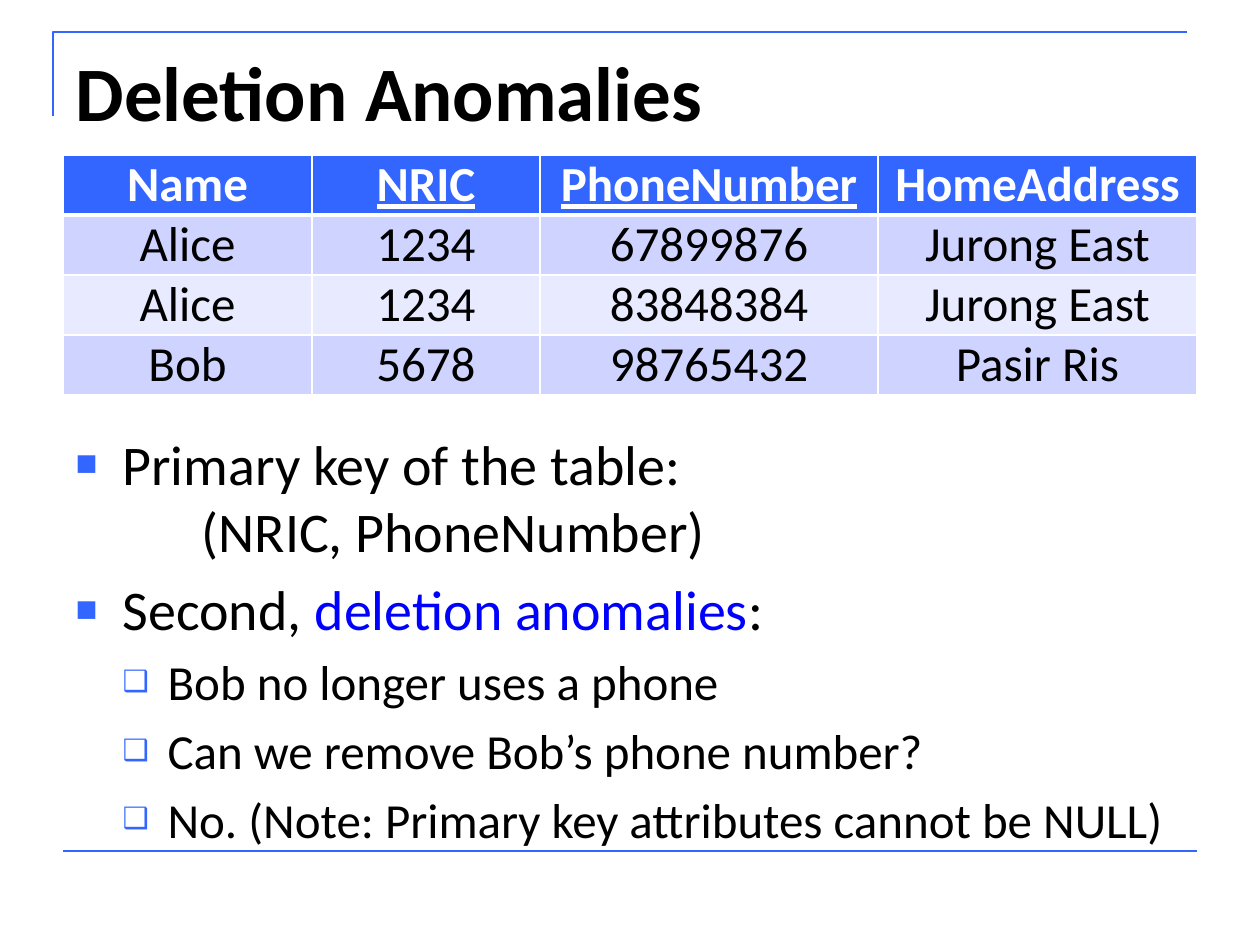
"""Build the Deletion Anomalies slide with its key table and bullet list."""
import pptx
import pptx.dml.color
import pptx.enum.shapes
import pptx.enum.text
import pptx.oxml.ns
import pptx.util
from dataclasses import dataclass
from lxml import etree


@dataclass(frozen=True)
class Theme:
    font: str = "Calibri"
    accent: str = "3366FF"
    text: str = "000000"
    white: str = "FFFFFF"
    emphasis: str = "0000FF"
    bands: tuple = ("CED3FF", "E8EAFF")
    title_size: int = 44
    cell_size: int = 28
    body_sizes: tuple = (32, 28)


THEME = Theme()
SCALE = 914400 / 126
TITLE = "Deletion Anomalies"
TITLE_BOX = (63, 38, 1134, 157)
BODY_BOX = (63, 423, 1162, 422)
TABLE_BOX = (63, 155, 1134, 236)
CORNER = [(53, 116), (53, 32), (1187, 32)]
FOOT_LINE = (63, 851, 1197, 851)
COLUMNS = [("Name", 249, False), ("NRIC", 228, True),
           ("PhoneNumber", 338, True), ("HomeAddress", 319, False)]
RECORDS = [("Alice", "1234", "67899876", "Jurong East"),
           ("Alice", "1234", "83848384", "Jurong East"),
           ("Bob", "5678", "98765432", "Pasir Ris")]
BULLETS = [
    (0, [("Primary key of the table:", THEME.text), None,
         ("\t(NRIC, PhoneNumber)", THEME.text)]),
    (0, [("Second, ", THEME.text), ("deletion anomalies", THEME.emphasis),
         (":", THEME.text)]),
    (1, [("Bob no longer uses a phone", THEME.text)]),
    (1, [("Can we remove Bob’s phone number?", THEME.text)]),
    (1, [("No. (Note: Primary key attributes cannot be NULL)", THEME.text)]),
]
LEVELS = [("■", 65, 47, 47), ("❑", 60, 92, 45)]
TAB_STOP = 126


def px(n):
    return pptx.util.Emu(round(n * SCALE))


def rgb(color):
    return pptx.dml.color.RGBColor.from_string(color)


def sub(parent, tag, **attrs):
    el = etree.SubElement(parent, pptx.oxml.ns.qn(tag))
    for key, value in attrs.items():
        el.set(key, str(value))
    return el


def add_run(p, text, size, color, bold=False, underline=False):
    r = p.add_run()
    r.text = text
    r.font.name = THEME.font
    r.font.size = pptx.util.Pt(size)
    r.font.bold = bold
    r.font.underline = underline
    r.font.color.rgb = rgb(color)


def style_line(line):
    line.color.rgb = rgb(THEME.accent)
    line.width = pptx.util.Pt(1.5)


def add_frame(s):
    builder = s.shapes.build_freeform(*CORNER[0], scale=SCALE)
    builder.add_line_segments(CORNER[1:], close=False)
    corner = builder.convert_to_shape()
    corner.fill.background()
    corner.shadow.inherit = False
    style_line(corner.line)
    foot = s.shapes.add_connector(
        pptx.enum.shapes.MSO_CONNECTOR.STRAIGHT, *map(px, FOOT_LINE))
    style_line(foot.line)
    sub(foot.element.spPr, "a:effectLst")


def place(sp, box):
    sp.left, sp.top, sp.width, sp.height = map(px, box)
    tf = sp.text_frame
    tf.word_wrap = True
    tf.auto_size = pptx.enum.text.MSO_AUTO_SIZE.NONE
    tf.vertical_anchor = pptx.enum.text.MSO_ANCHOR.TOP
    return tf


def add_title(s):
    p = place(s.shapes.title, TITLE_BOX).paragraphs[0]
    p.alignment = pptx.enum.text.PP_ALIGN.LEFT
    add_run(p, TITLE, THEME.title_size, THEME.text, bold=True)


def format_bullet(p, level):
    char, percent, margin, hang = LEVELS[level]
    p.level = level
    pPr = p._p.get_or_add_pPr()
    pPr.set("marL", str(px(margin)))
    pPr.set("indent", str(px(-hang)))
    sub(sub(pPr, "a:buClr"), "a:srgbClr", val=THEME.accent)
    sub(pPr, "a:buSzPct", val=percent * 1000)
    sub(pPr, "a:buChar", char=char)
    sub(sub(pPr, "a:tabLst"), "a:tab", pos=px(TAB_STOP), algn="l")


def add_body(s):
    tf = place(s.placeholders[1], BODY_BOX)
    for i, (level, runs) in enumerate(BULLETS):
        p = tf.paragraphs[0] if i == 0 else tf.add_paragraph()
        size = THEME.body_sizes[level]
        format_bullet(p, level)
        p.space_before = pptx.util.Pt(size * 0.2 if i else 0)
        for run in runs:
            if run is None:
                p.add_line_break()
            else:
                add_run(p, run[0], size, run[1])


def set_borders(cell, widths):
    tcPr = cell._tc.get_or_add_tcPr()
    for i, (side, width) in enumerate(widths.items()):
        ln = sub(tcPr, f"a:ln{side}", w=pptx.util.Pt(width))
        sub(sub(ln, "a:solidFill"), "a:srgbClr", val=THEME.white)
        tcPr.insert(i, ln)


def add_table(s):
    rows = [[name for name, _, _ in COLUMNS]] + RECORDS
    table = s.shapes.add_table(
        len(rows), len(COLUMNS), *map(px, TABLE_BOX)).table
    for column, (_, width, _) in zip(table.columns, COLUMNS):
        column.width = px(width)
    for i, row in enumerate(rows):
        header = i == 0
        fill = THEME.accent if header else THEME.bands[(i - 1) % 2]
        for j, text in enumerate(row):
            cell = table.cell(i, j)
            cell.margin_top = cell.margin_bottom = 0
            cell.fill.solid()
            cell.fill.fore_color.rgb = rgb(fill)
            set_borders(cell, {"L": 1, "R": 1, "T": 3 if i == 1 else 1,
                               "B": 3 if header else 1})
            p = cell.text_frame.paragraphs[0]
            p.alignment = pptx.enum.text.PP_ALIGN.CENTER
            add_run(p, text, THEME.cell_size,
                    THEME.white if header else THEME.text,
                    bold=header, underline=header and COLUMNS[j][2])


def main():
    prs = pptx.Presentation()
    prs.slide_width, prs.slide_height = px(1260), px(945)
    s = prs.slides.add_slide(prs.slide_layouts[1])
    add_frame(s)
    add_title(s)
    add_body(s)
    add_table(s)
    prs.save("out.pptx")


if __name__ == "__main__":
    main()
